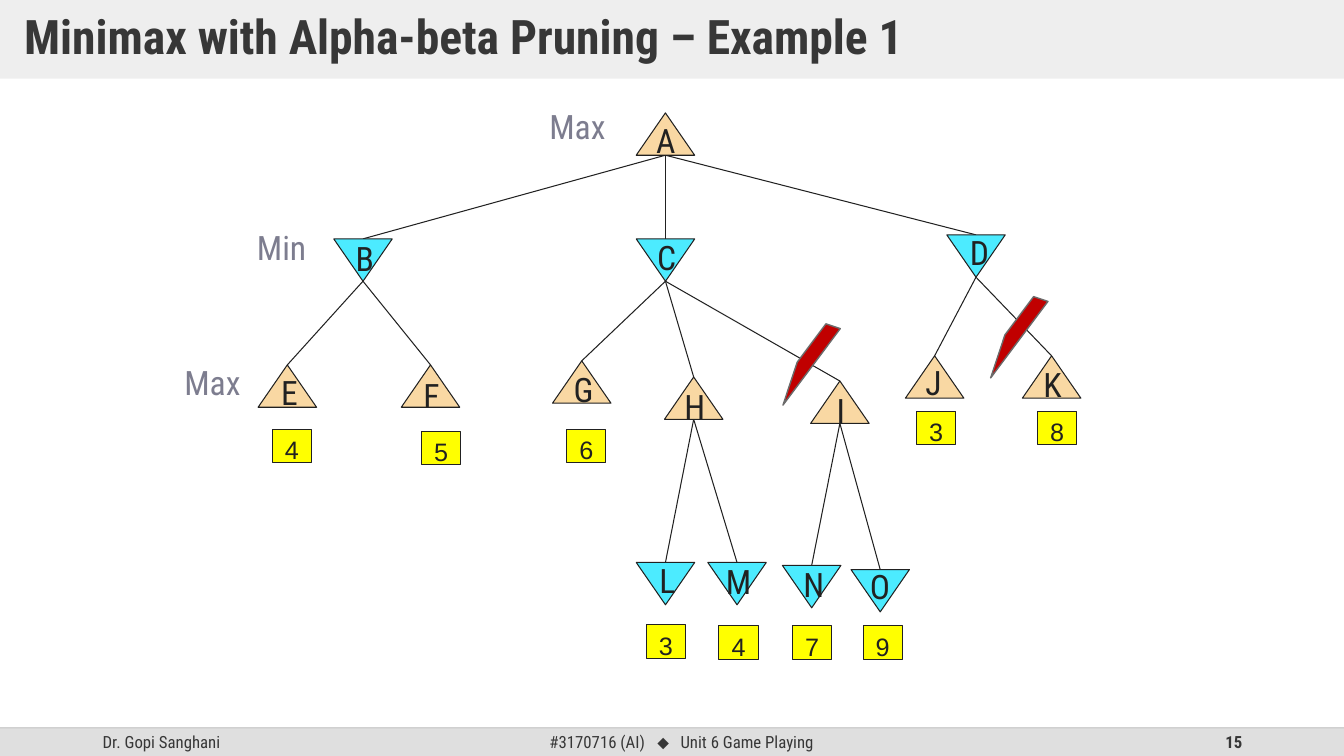
import pptx
import pptx.util
import pptx.dml.color
import pptx.enum.shapes
import pptx.enum.text
import pptx.oxml

Inches = pptx.util.Inches
Pt = pptx.util.Pt
Shapes = pptx.enum.shapes.MSO_SHAPE
Align = pptx.enum.text.PP_ALIGN
Anchor = pptx.enum.text.MSO_ANCHOR
STRAIGHT = pptx.enum.shapes.MSO_CONNECTOR.STRAIGHT
A_NS = 'xmlns:a="http://schemas.openxmlformats.org/drawingml/2006/main"'
CONDENSED = "Roboto Condensed"
INK, GREY, OUTLINE = "212121", "373737", 0.75
WIDTH, HEIGHT = 13.33, 7.5
NODE_W, NODE_H = 0.58, 0.42
FOOTER_TOP = 7.22


def paint(fill, hex_color, opacity=100):
    fill.solid()
    fill.fore_color.rgb = pptx.dml.color.RGBColor.from_string(hex_color)
    if opacity < 100:
        alpha = pptx.oxml.parse_xml(f'<a:alpha {A_NS} val="{opacity * 1000}"/>')
        fill._xPr.find(".//{*}srgbClr").append(alpha)


def write(holder, text, size, font, color, align=Align.LEFT, anchor=Anchor.TOP, bold=False):
    frame = holder.text_frame
    frame.text = text
    frame.word_wrap = True
    frame.vertical_anchor = anchor
    paragraph = frame.paragraphs[0]
    paragraph.alignment = align
    for run in paragraph.runs:
        run.font.size, run.font.name, run.font.bold = Pt(size), font, bold
        paint(run.font.fill, color)
    return paragraph


deck = pptx.Presentation()
deck.slide_width, deck.slide_height = Inches(WIDTH), Inches(HEIGHT)
slide = deck.slides.add_slide(deck.slide_layouts[5])
parts = slide.shapes

title = parts.title
title.left, title.top, title.width, title.height = 0, 0, Inches(WIDTH), Inches(0.78)
paint(title.fill, "DFDFDF", 50)
heading = write(title, "Minimax with Alpha-beta Pruning – Example 1", 34, CONDENSED,
                GREY, anchor=Anchor.MIDDLE, bold=True)
heading.line_spacing = 0.9
title.text_frame.auto_size = pptx.enum.text.MSO_AUTO_SIZE.NONE
title.text_frame.margin_left = title.text_frame.margin_right = Inches(0.24)
title.text_frame.margin_top = title.text_frame.margin_bottom = Inches(0.12)

footer = parts.add_shape(Shapes.RECTANGLE, 0, Inches(FOOTER_TOP), Inches(WIDTH),
                         Inches(HEIGHT - FOOTER_TOP))
footer.shadow.inherit = False
paint(footer.fill, "DFDFDF")
footer.line.fill.background()

footer_texts = [
    (0.92, 3, "Dr. Gopi Sanghani", Align.LEFT, False),
    (4.42, 4.68, "#3170716 (AI)", Align.CENTER, False),
    (9.42, 3, "15", Align.RIGHT, True),
]
for left, width, text, align, bold in footer_texts:
    box = parts.add_textbox(Inches(left), Inches(FOOTER_TOP), Inches(width),
                            Inches(HEIGHT - FOOTER_TOP))
    line = write(box, text, 12, CONDENSED, GREY, align, Anchor.MIDDLE, bold)
    if align == Align.CENTER:
        for extra, font, spacing in [(" ⬥", "Arial", 540), (" Unit 6 Game Playing", CONDENSED, 0)]:
            run = line.add_run()
            run.text = extra
            run.font.size, run.font.name = Pt(12), font
            paint(run.font.fill, GREY)
            run.font._element.set("spc", str(spacing))

# name: (level, centre, top, letter left, letter top)
nodes = {
    "A": ("max", 6.6, 1.12, 6.41, 1.14),
    "B": ("min", 3.6, 2.37, 3.43, 2.31),
    "C": ("min", 6.6, 2.37, 6.42, 2.3),
    "D": ("min", 9.68, 2.33, 9.52, 2.25),
    "E": ("max", 2.85, 3.62, 2.69, 3.64),
    "F": ("max", 4.27, 3.62, 4.1, 3.67),
    "G": ("max", 5.77, 3.58, 5.59, 3.61),
    "H": ("max", 6.88, 3.74, 6.69, 3.78),
    "I": ("max", 8.33, 3.78, 8.2, 3.82),
    "J": ("max", 9.27, 3.53, 9.08, 3.54),
    "K": ("max", 10.43, 3.53, 10.25, 3.56),
    "L": ("min", 6.6, 5.58, 6.44, 5.51),
    "M": ("min", 7.31, 5.58, 7.1, 5.52),
    "N": ("min", 8.05, 5.61, 7.87, 5.55),
    "O": ("min", 8.73, 5.65, 8.53, 5.57),
}
children = {"A": "BCD", "B": "EF", "C": "GHI", "D": "JK", "H": "LM", "I": "NO"}
leaf_values = [
    ("4", 2.7, 4.26), ("5", 4.18, 4.28), ("6", 5.62, 4.26), ("3", 9.09, 4.08),
    ("8", 10.29, 4.08), ("3", 6.41, 6.2), ("4", 7.13, 6.21), ("7", 7.86, 6.21),
    ("9", 8.56, 6.21),
]
level_labels = [("Max", 5.35, 1), ("Min", 2.45, 2.2), ("Max", 1.73, 3.54)]
level_fills = {"max": "F9D8A3", "min": "4CEBFF"}

strokes = [(0, FOOTER_TOP, WIDTH, FOOTER_TOP, "BFBFBF", 1, 70)]
for parent, offspring in children.items():
    for child in offspring:
        strokes.append((nodes[parent][1], nodes[parent][2] + NODE_H,
                        nodes[child][1], nodes[child][2], INK, OUTLINE, 100))
for x1, y1, x2, y2, color, weight, opacity in strokes:
    edge = parts.add_connector(STRAIGHT, Inches(x1), Inches(y1), Inches(x2), Inches(y2))
    paint(edge.line.fill, color, opacity)
    edge.line.width = Pt(weight)
    edge._element.spPr.append(pptx.oxml.parse_xml(f"<a:effectLst {A_NS}/>"))

for name, (level, centre, top, letter_left, letter_top) in nodes.items():
    node = parts.add_shape(Shapes.ISOSCELES_TRIANGLE, Inches(centre - NODE_W / 2),
                           Inches(top), Inches(NODE_W), Inches(NODE_H))
    node.shadow.inherit = False
    node.rotation = 180 if level == "min" else 0
    paint(node.fill, level_fills[level])
    paint(node.line.fill, INK)
    node.line.width = Pt(OUTLINE)
    letter = parts.add_textbox(Inches(letter_left), Inches(letter_top), Inches(0.45), Inches(0.5))
    write(letter, name, 24, CONDENSED, INK)

for value, left, top in leaf_values:
    leaf = parts.add_shape(Shapes.RECTANGLE, Inches(left), Inches(top), Inches(0.39), Inches(0.33))
    leaf.shadow.inherit = False
    paint(leaf.fill, "FFFF00")
    paint(leaf.line.fill, INK)
    leaf.line.width = Pt(OUTLINE)
    write(leaf, value, 18, "Arial", INK, Align.CENTER)
    leaf.text_frame.margin_left = leaf.text_frame.margin_right = 0

for text, left, top in level_labels:
    label = parts.add_textbox(Inches(left), Inches(top), Inches(0.96), Inches(0.5))
    write(label, text, 24, CONDENSED, "7D7D8F")

for left, top in [(7.6, 3.49), (9.66, 3.22)]:
    cut = parts.add_shape(Shapes.DIAGONAL_STRIPE, Inches(left), Inches(top), Inches(0.9), Inches(0.3))
    cut.shadow.inherit = False
    cut.rotation = 288.4
    cut._element.spPr.xfrm.set("flipH", "1")
    paint(cut.fill, "C00000")
    paint(cut.line.fill, "6B6B6B")
    cut.line.width = Pt(1)

deck.save("out.pptx")
